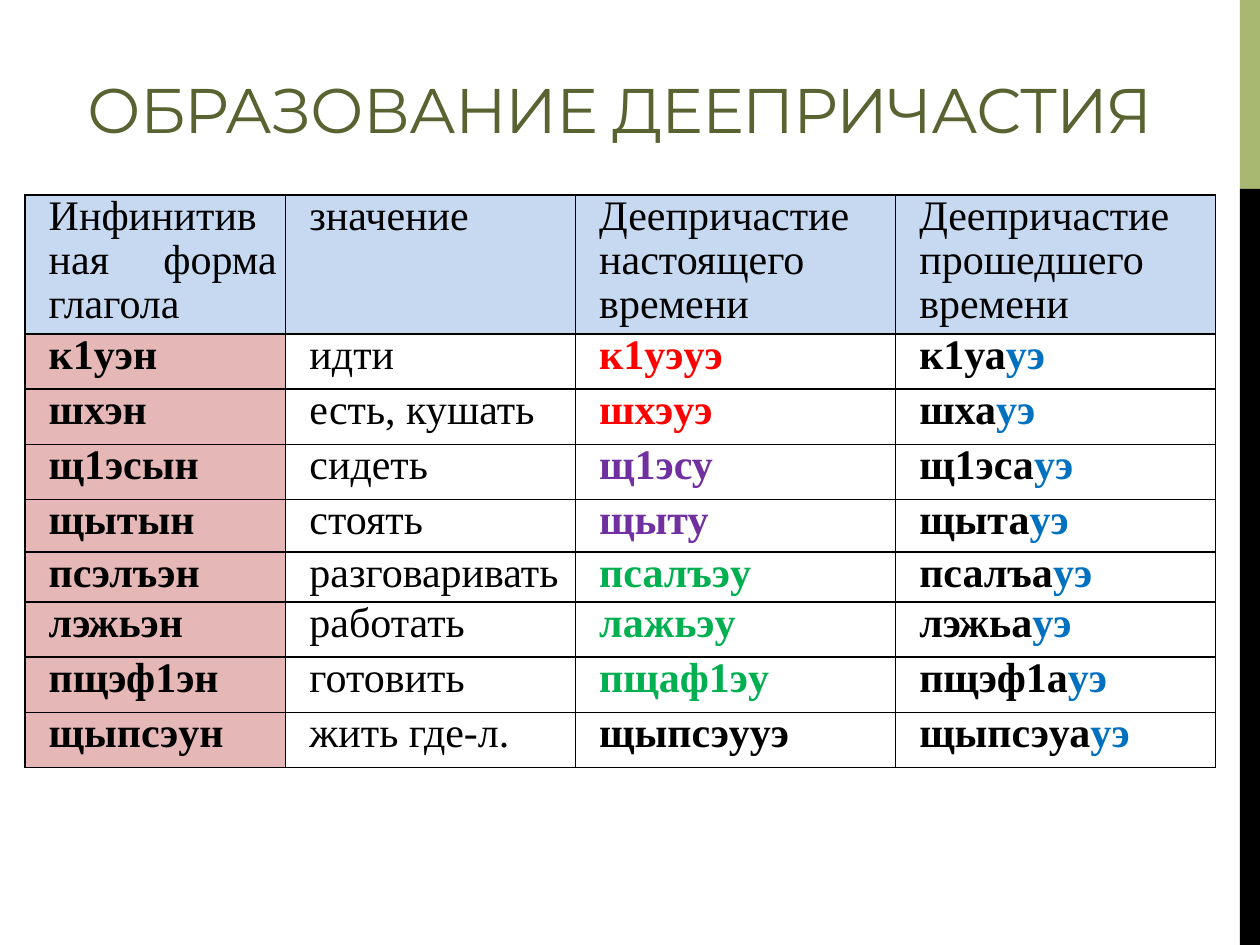
from lxml import etree
from pptx import Presentation
from pptx.dml.color import RGBColor
from pptx.enum.shapes import MSO_SHAPE
from pptx.enum.text import MSO_ANCHOR, PP_ALIGN
from pptx.oxml.ns import qn
from pptx.util import Pt

RECTANGLE = MSO_SHAPE.RECTANGLE
BOTTOM, TOP = MSO_ANCHOR.BOTTOM, MSO_ANCHOR.TOP
CENTER, JUSTIFY = PP_ALIGN.CENTER, PP_ALIGN.JUSTIFY

BLACK, BLUE, RED, PURPLE, GREEN = "000000", "0070C0", "FF0000", "7030A0", "00B050"
HEADER_FILL, INFINITIVE_FILL = "C6D9F1", "E5B8B7"
PAST_SUFFIX = "уэ"

HEADINGS = ["Инфинитивная форма глагола", "значение",
            "Деепричастие настоящего времени", "Деепричастие прошедшего времени"]
# infinitive, meaning, present form, its colour, past stem
VERBS = [
    ("к1уэн", "идти", "к1уэуэ", RED, "к1уа"),
    ("шхэн", "есть, кушать", "шхэуэ", RED, "шха"),
    ("щ1эсын", "сидеть", "щ1эсу", PURPLE, "щ1эса"),
    ("щытын", "стоять", "щыту", PURPLE, "щыта"),
    ("псэлъэн", "разговаривать", "псалъэу", GREEN, "псалъа"),
    ("лэжьэн", "работать", "лажьэу", GREEN, "лэжьа"),
    ("пщэф1эн", "готовить", "пщаф1эу", GREEN, "пщэф1а"),
    ("щыпсэун", "жить где-л.", "щыпсэууэ", BLACK, "щыпсэуа"),
]
COLUMN_WIDTHS = [149, 165.6, 182.9, 182.9]
ROW_HEIGHTS = [79.4, 31.6, 31.6, 31.6, 30, 28.4, 31.6, 31.6, 31.6]


def rgb(hex_color):
    return RGBColor.from_string(hex_color)


def add_text(paragraph, text, size=24, font="Times New Roman", color=BLACK,
             bold=False, spacing=0):
    run = paragraph.add_run()
    run.text = text
    run.font.size = Pt(size)
    run.font.name = font
    run.font.bold = bold
    run.font.color.rgb = rgb(color)
    if spacing:
        run.font._element.set("spc", str(round(spacing * 100)))


def add_side_stripe(slide, left, top, width, height):
    accent_height = height / 5
    for offset, part_height, color in ((0, accent_height, "A9B870"),
                                       (accent_height, height - accent_height, BLACK)):
        stripe = slide.shapes.add_shape(RECTANGLE, Pt(left), Pt(top + offset),
                                        Pt(width), Pt(part_height))
        stripe.shadow.inherit = False
        stripe.fill.solid()
        stripe.fill.fore_color.rgb = rgb(color)
        stripe.line.fill.background()


def set_title(slide, left, top, width, height):
    title = slide.shapes.title
    title.left, title.top, title.width, title.height = map(Pt, (left, top, width, height))
    frame = title.text_frame
    frame.vertical_anchor = BOTTOM
    frame.margin_bottom = Pt(2)
    paragraph = frame.paragraphs[0]
    paragraph.alignment = CENTER
    add_text(paragraph, "ОБРАЗОВАНИЕ ДЕЕПРИЧАСТИЯ", size=36, font="Montserrat",
             color="596331", spacing=-0.6)


def add_borders(cell, color=BLACK, width=1):
    properties = cell._tc.get_or_add_tcPr()
    for index, side in enumerate(("a:lnL", "a:lnR", "a:lnT", "a:lnB")):
        border = etree.Element(qn(side), w=str(Pt(width)))
        fill = etree.SubElement(border, qn("a:solidFill"))
        etree.SubElement(fill, qn("a:srgbClr"), val=color)
        properties.insert(index, border)


def fill_cell(cell, runs, fill=None):
    cell.margin_left = cell.margin_right = Pt(5)
    cell.margin_top = cell.margin_bottom = Pt(0)
    cell.vertical_anchor = TOP
    if fill:
        cell.fill.solid()
        cell.fill.fore_color.rgb = rgb(fill)
    else:
        cell.fill.background()
    add_borders(cell)
    paragraph = cell.text_frame.paragraphs[0]
    paragraph.alignment = JUSTIFY
    paragraph.line_spacing = 0.95
    paragraph._p.get_or_add_pPr().set("marL", str(Pt(8.64)))
    for text, style in runs:
        add_text(paragraph, text, **style)


def add_verb_table(slide, left, top, width, height):
    table = slide.shapes.add_table(len(ROW_HEIGHTS), len(COLUMN_WIDTHS), Pt(left),
                                   Pt(top), Pt(width), Pt(height)).table
    table.first_row = table.horz_banding = False
    for column, column_width in zip(table.columns, COLUMN_WIDTHS):
        column.width = Pt(column_width)
    for row, row_height in zip(table.rows, ROW_HEIGHTS):
        row.height = Pt(row_height)

    # Heading row
    for column, heading in enumerate(HEADINGS):
        fill_cell(table.cell(0, column), [(heading, {})], HEADER_FILL)

    # One row for each verb
    bold = {"bold": True}
    for row, (infinitive, meaning, present, color, past_stem) in enumerate(VERBS, 1):
        fill_cell(table.cell(row, 0), [(infinitive, bold)], INFINITIVE_FILL)
        fill_cell(table.cell(row, 1), [(meaning, {})])
        fill_cell(table.cell(row, 2), [(present, {"bold": True, "color": color})])
        fill_cell(table.cell(row, 3), [(past_stem, bold),
                                       (PAST_SUFFIX, {"bold": True, "color": BLUE})])


def main():
    presentation = Presentation()
    presentation.slide_width, presentation.slide_height = Pt(720), Pt(540)
    slide = presentation.slides.add_slide(presentation.slide_layouts[5])
    add_side_stripe(slide, 708.5, 0, 11.5, 540)
    set_title(slide, 14.2, 15, 680.4, 70.6)
    add_verb_table(slide, 14.2, 111.4, sum(COLUMN_WIDTHS), sum(ROW_HEIGHTS))
    presentation.save("out.pptx")


if __name__ == "__main__":
    main()
